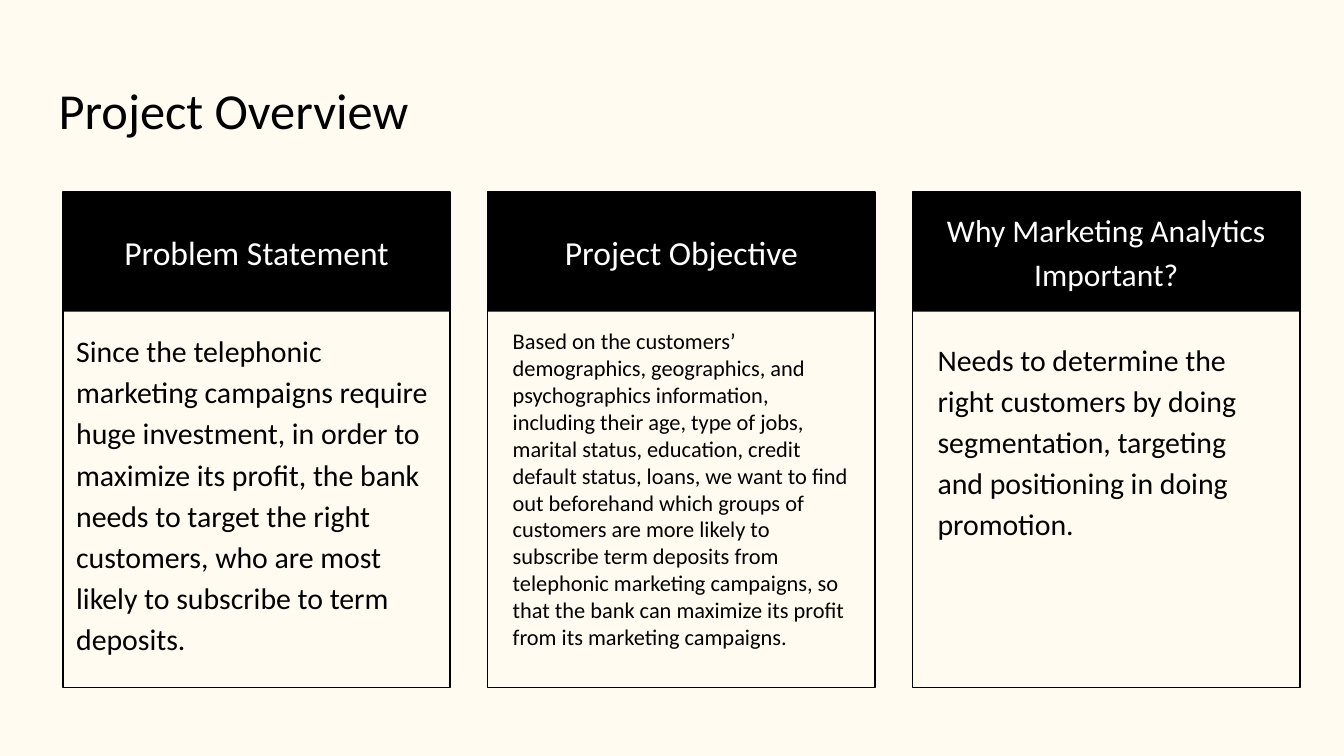
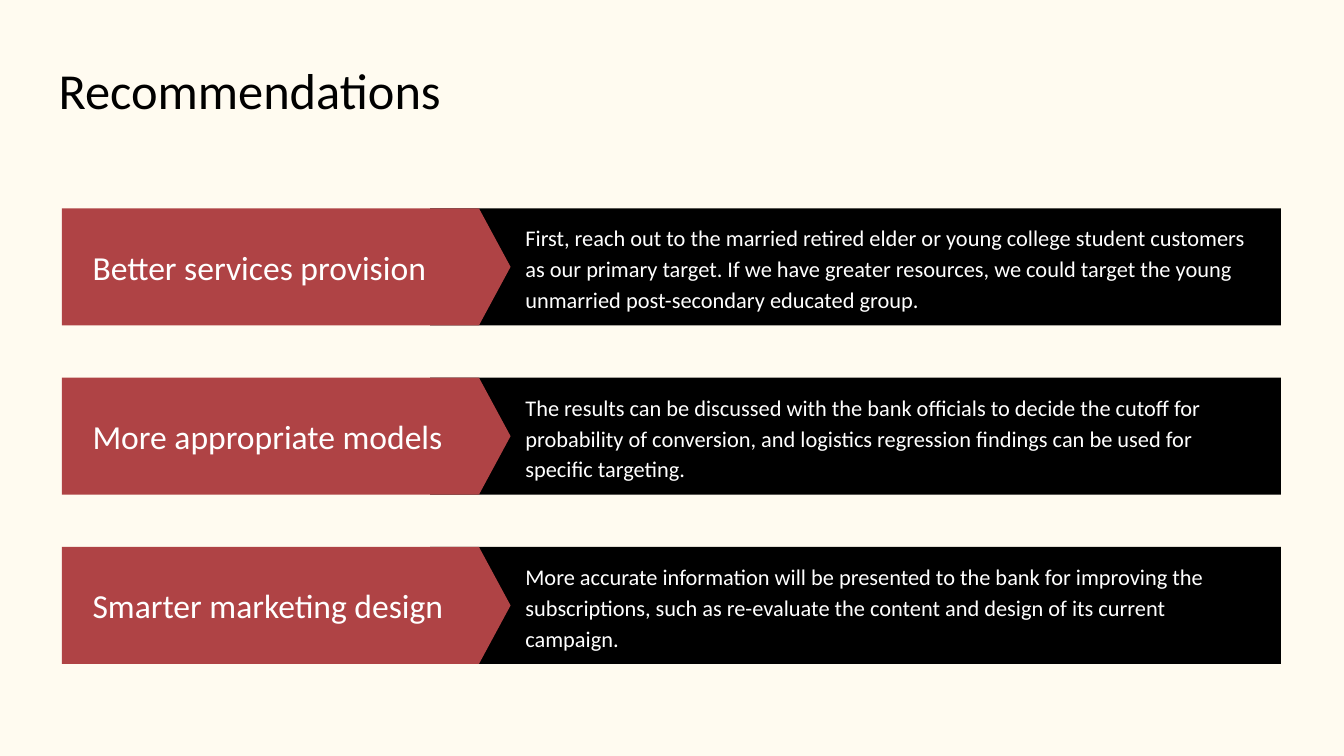
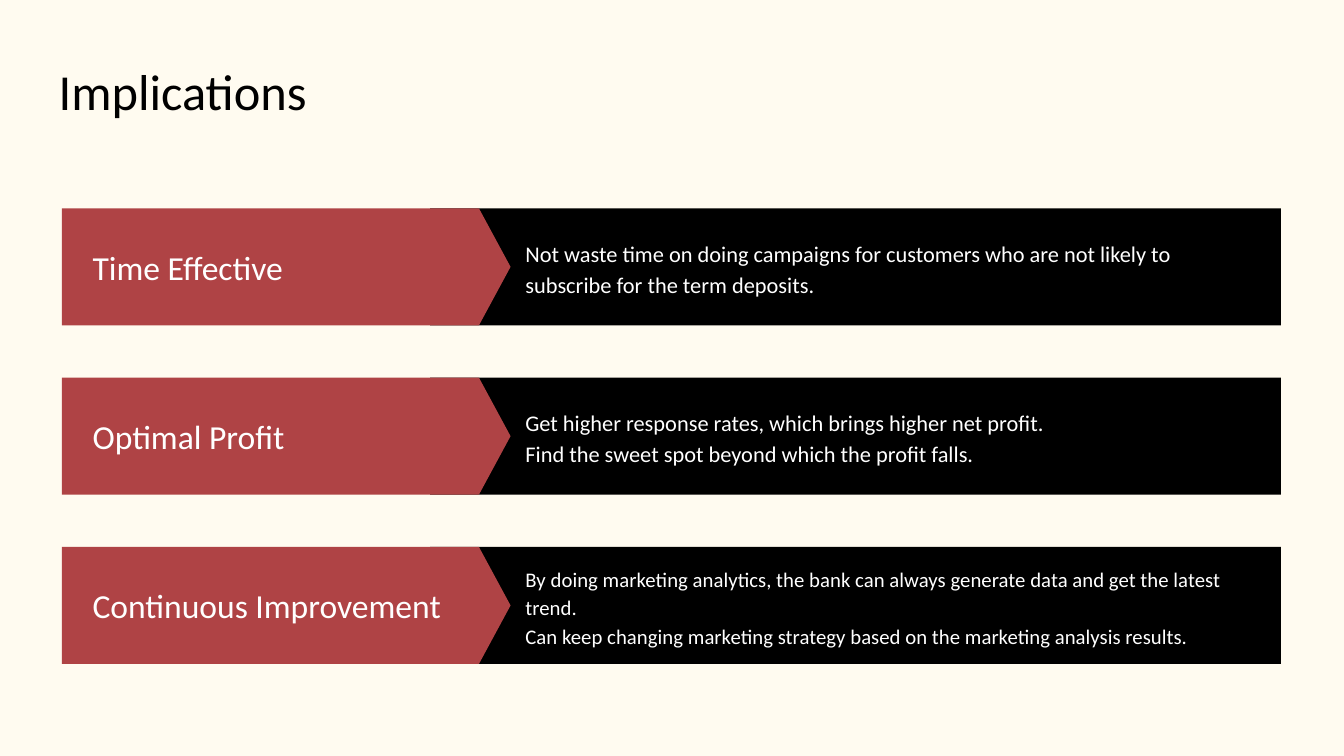
from dataclasses import dataclass

from pptx import Presentation
from pptx.dml.color import RGBColor
from pptx.enum.shapes import MSO_SHAPE
from pptx.enum.text import MSO_ANCHOR, PP_ALIGN
from pptx.util import Cm, Pt

RECT, PENTAGON = MSO_SHAPE.RECTANGLE, MSO_SHAPE.PENTAGON
TOP, MIDDLE = MSO_ANCHOR.TOP, MSO_ANCHOR.MIDDLE
LEFT, CENTER = PP_ALIGN.LEFT, PP_ALIGN.CENTER


@dataclass(frozen=True)
class Theme:
    font: str = "Calibri"
    paper: str = "FFFBF0"
    ink: str = "000000"
    accent: str = "AF4345"
    white: str = "FFFFFF"
    title: float = 27
    heading: float = 18
    heading_small: float = 16.9
    body: float = 16
    detail: float = 12
    detail_small: float = 11.1
    spacing: float = 1.15
    inset: float = 0.25


T = Theme()

CARD_LEFT, CARD_TOP, CARD_PITCH = 1.19, 3.63, 8.03
CARD_W, CARD_H, HEADER_H = 7.32, 9.37, 2.26
ROW_TOP, ROW_PITCH, ROW_H = 3.94, 3.2, 2.21

# heading, heading size, body, body size, line spacing, indent, body top
CARDS = [
    ("Problem Statement", T.heading,
     "Since the telephonic marketing campaigns require huge investment, in order to "
     "maximize its profit, the bank needs to target the right customers, who are most "
     "likely to subscribe to term deposits.",
     T.body, T.spacing, 0, 5.94),
    ("Project Objective", T.heading,
     "Based on the customers’ demographics, geographics, and psychographics "
     "information, including their age, type of jobs, marital status, education, credit "
     "default status, loans, we want to find out beforehand which groups of customers "
     "are more likely to subscribe term deposits from telephonic marketing campaigns, "
     "so that the bank can maximize its profit from its marketing campaigns.",
     T.detail, 1, 0.22, 5.94),
    ("Why Marketing Analytics Important?", T.heading_small,
     "Needs to determine the right customers by doing segmentation, targeting and "
     "positioning in doing promotion.",
     T.body, T.spacing, 0.22, 6.1),
]

# label, detail paragraphs, detail size
RECOMMENDATIONS = [
    ("Better services provision",
     ["First, reach out to the married retired elder or young college student customers "
      "as our primary target. If we have greater resources, we could target the young "
      "unmarried post-secondary educated group."], T.detail),
    ("More appropriate models",
     ["The results can be discussed with the bank officials to decide the cutoff for "
      "probability of conversion, and logistics regression findings can be used for "
      "specific targeting."], T.detail),
    ("Smarter marketing design",
     ["More accurate information will be presented to the bank for improving the "
      "subscriptions, such as re-evaluate the content and design of its current "
      "campaign."], T.detail),
]
IMPLICATIONS = [
    ("Time Effective",
     ["Not waste time on doing campaigns for customers who are not likely to subscribe "
      "for the term deposits."], T.detail),
    ("Optimal Profit",
     ["Get higher response rates, which brings higher net profit.",
      "Find the sweet spot beyond which the profit falls."], T.detail),
    ("Continuous Improvement",
     ["By doing marketing analytics, the bank can always generate data and get the "
      "latest trend.",
      "Can keep changing marketing strategy based on the marketing analysis results."],
     T.detail_small),
]


def add_text(s, box, *paragraphs, size, color=T.ink, align=LEFT, anchor=TOP,
             spacing=1, after=0):
    tf = s.shapes.add_textbox(*map(Cm, box)).text_frame
    tf.word_wrap = True
    tf.vertical_anchor = anchor
    tf.margin_left = tf.margin_right = tf.margin_top = tf.margin_bottom = Cm(T.inset)
    for i, text in enumerate(paragraphs):
        p = tf.add_paragraph() if i else tf.paragraphs[0]
        p.alignment = align
        p.line_spacing = spacing
        p.space_after = Pt(after)
        r = p.add_run()
        r.text = text
        r.font.name = T.font
        r.font.size = Pt(size)
        r.font.color.rgb = RGBColor.from_string(color)


def add_block(s, kind, box, fill=None, line=None):
    sp = s.shapes.add_shape(kind, *map(Cm, box))
    sp.shadow.inherit = False
    if fill:
        sp.fill.solid()
        sp.fill.fore_color.rgb = RGBColor.from_string(fill)
    else:
        sp.fill.background()
    if line:
        sp.line.color.rgb = RGBColor.from_string(line)
        sp.line.width = Pt(0.75)
    else:
        sp.line.fill.background()
    return sp


def add_slide(prs, title, title_top):
    s = prs.slides.add_slide(prs.slide_layouts[6])
    s.background.fill.solid()
    s.background.fill.fore_color.rgb = RGBColor.from_string(T.paper)
    add_text(s, (0.86, title_top, 23.67, 1.7), title, size=T.title)
    return s


def add_card(s, left, heading, heading_size, body, body_size, spacing, indent, body_top):
    add_block(s, RECT, (left, CARD_TOP, CARD_W, HEADER_H), fill=T.ink)
    add_block(s, RECT, (left, CARD_TOP, CARD_W, CARD_H), line=T.ink)
    add_text(s, (left, CARD_TOP, CARD_W, 2.16), heading, size=heading_size,
             color=T.white, align=CENTER, anchor=MIDDLE, spacing=T.spacing)
    body_box = (left + indent, body_top, CARD_W - 2 * indent,
                CARD_TOP + CARD_H - body_top)
    add_text(s, body_box, body, size=body_size, spacing=spacing,
             after=12 if body_size == T.body else 0)


def add_arrow_row(s, top, label, details, detail_size):
    add_block(s, RECT, (8.13, top, 16.08, ROW_H), fill=T.ink)
    arrow = add_block(s, PENTAGON, (1.17, top, 8.48, ROW_H), fill=T.accent)
    arrow.adjustments[0] = 0.27
    add_text(s, (1.5, top, 7.77, ROW_H), label, size=T.heading, color=T.white,
             anchor=MIDDLE)
    add_text(s, (9.68, top, 14.2, ROW_H), *details, size=detail_size, color=T.white,
             anchor=MIDDLE, spacing=T.spacing)


def add_arrow_slide(prs, title, title_top, rows):
    s = add_slide(prs, title, title_top)
    for i, row in enumerate(rows):
        add_arrow_row(s, ROW_TOP + i * ROW_PITCH, *row)


def main():
    prs = Presentation()
    prs.slide_width, prs.slide_height = Cm(25.4), Cm(14.29)

    s = add_slide(prs, "Project Overview", 1.24)
    for i, card in enumerate(CARDS):
        add_card(s, CARD_LEFT + i * CARD_PITCH, *card)

    add_arrow_slide(prs, "Recommendations", 0.86, RECOMMENDATIONS)
    add_arrow_slide(prs, "Implications", 0.89, IMPLICATIONS)
    prs.save("out.pptx")


if __name__ == "__main__":
    main()
